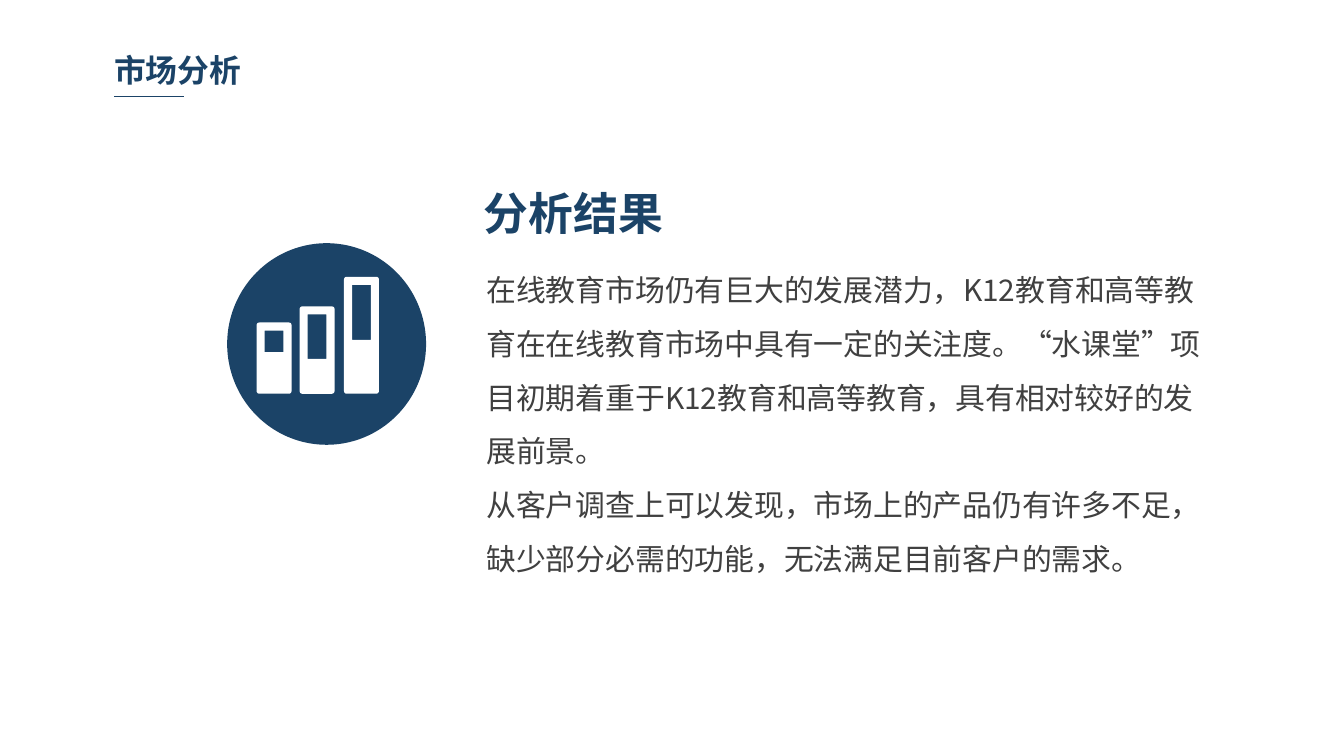
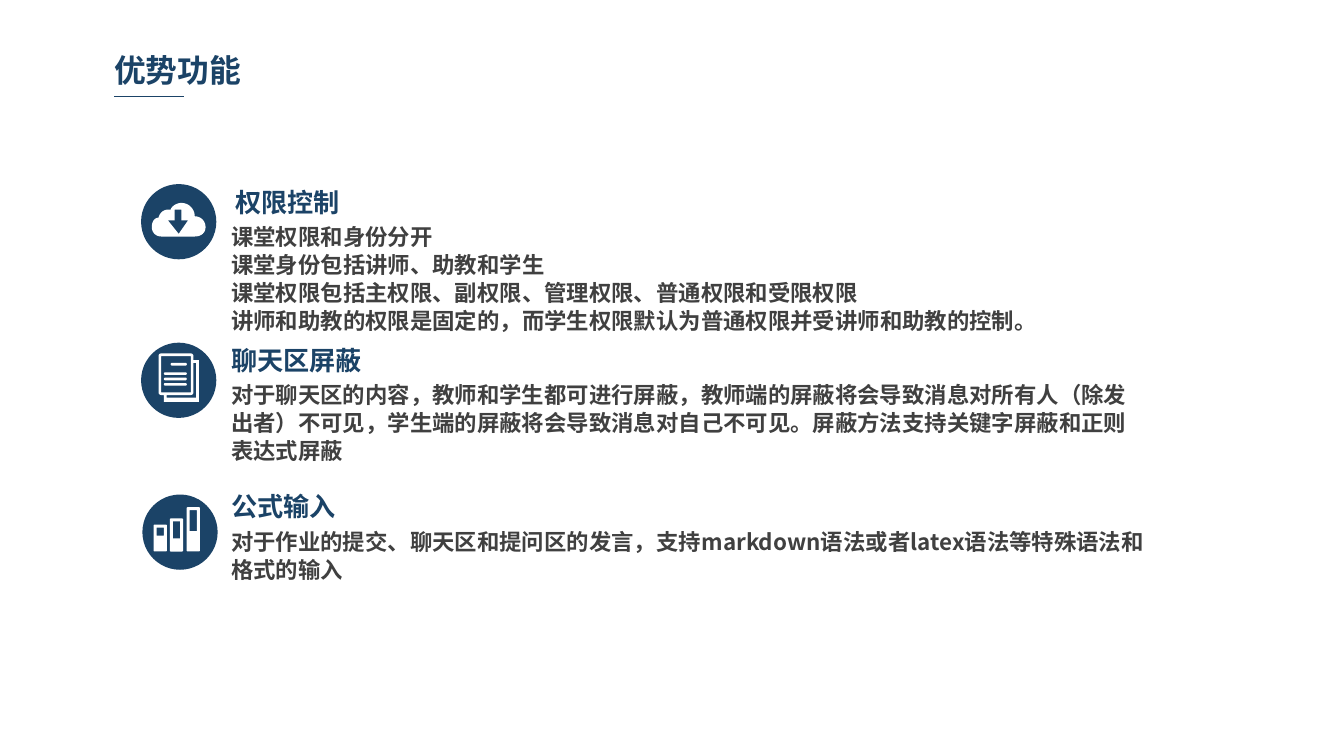
import math

from lxml import etree
from pptx import Presentation
from pptx.dml.color import RGBColor
from pptx.enum.shapes import MSO_CONNECTOR, MSO_SHAPE
from pptx.enum.text import MSO_AUTO_SIZE
from pptx.oxml.ns import qn
from pptx.util import Emu, Pt

# Shared style
PX = 9144  # EMU per px, 100 px to the inch
NAVY = RGBColor(0x1B, 0x43, 0x67)
GRAY = RGBColor(0x40, 0x40, 0x40)
WHITE = RGBColor(0xFF, 0xFF, 0xFF)
FONT = "Noto Sans CJK SC"
ELLIPSE = MSO_SHAPE.OVAL
STRAIGHT = MSO_CONNECTOR.STRAIGHT
GROW = MSO_AUTO_SIZE.SHAPE_TO_FIT_TEXT


def px(value):
    return Emu(round(value * PX))


# Outlines as lists of points
def box(left, top, width, height):
    right, bottom = left + width, top + height
    return [(left, top), (right, top), (right, bottom), (left, bottom)]


def rounded_box(left, top, width, height, radius):
    points = []
    for corner, (x, y) in enumerate(box(left + radius, top + radius,
                                        width - 2 * radius, height - 2 * radius)):
        for step in range(5):
            angle = math.radians(180 + 90 * corner + 22.5 * step)
            points.append((x + radius * math.cos(angle), y + radius * math.sin(angle)))
    return points


def curve(start, segments, steps=10):
    """Follow cubic curves, each given as two control points and an end."""
    points = [start]
    for first, second, end in segments:
        begin = points[-1]
        for step in range(1, steps + 1):
            t = step / steps
            weights = ((1 - t) ** 3, 3 * t * (1 - t) ** 2, 3 * t * t * (1 - t), t ** 3)
            points.append(tuple(
                sum(weight * point[axis] for weight, point
                    in zip(weights, (begin, first, second, end)))
                for axis in (0, 1)))
    return points


class Deck:
    def __init__(self, width):
        self.presentation = Presentation()
        self.presentation.slide_width = px(width)
        self.presentation.slide_height = px(width * 9 / 16)
        self.slide = None

    def new_slide(self, title):
        layout = self.presentation.slide_layouts[6]
        self.slide = self.presentation.slides.add_slide(layout)
        self.text(78, 34, 247, 36, [title], 17, NAVY, bold=True)
        self.line(85, 72, 137, 72)

    def text(self, left, top, width, height, paragraphs, size, color,
             bold=False, spacing=None, wrap=True):
        shape = self.slide.shapes.add_textbox(px(left), px(top), px(width), px(height))
        frame = shape.text_frame
        frame.word_wrap = wrap
        frame.auto_size = GROW
        frame.margin_left = frame.margin_right = px(7)
        frame.margin_top = frame.margin_bottom = px(4)
        frame.text = "\n".join(paragraphs)
        for paragraph in frame.paragraphs:
            if spacing:
                paragraph.line_spacing = spacing
            font = paragraph.font
            font.name, font.size, font.bold = FONT, Pt(size), bold
            font.color.rgb = color
            # East Asian typeface follows the Latin one
            latin = paragraph._p.pPr.find(qn("a:defRPr")).find(qn("a:latin"))
            east_asian = etree.Element(qn("a:ea"), typeface=FONT)
            latin.addnext(east_asian)

    def line(self, left, top, right, bottom):
        connector = self.slide.shapes.add_connector(
            STRAIGHT, px(left), px(top), px(right), px(bottom))
        connector.line.color.rgb = NAVY
        connector.line.width = Pt(0.75)
        etree.SubElement(connector._element.spPr, qn("a:effectLst"))

    def fill(self, shape, color):
        shape.shadow.inherit = False
        shape.fill.solid()
        shape.fill.fore_color.rgb = color
        shape.line.fill.background()

    def disc(self, left, top, width, height):
        """Start an icon: a group that holds a navy disc."""
        group = self.slide.shapes.add_group_shape()
        shape = group.shapes.add_shape(ELLIPSE, px(left), px(top), px(width), px(height))
        self.fill(shape, NAVY)
        return group

    def outline(self, group, contours):
        """Draw white contours as one shape; inner contours are holes."""
        contours = [[(px(x), px(y)) for x, y in points] for points in contours]
        builder = group.shapes.build_freeform(*contours[0][0], scale=1.0)
        for index, points in enumerate(contours):
            if index:
                builder.move_to(*points[0])
            builder.add_line_segments(points[1:], close=True)
        self.fill(builder.convert_to_shape(), WHITE)

    def bars_icon(self, left, top, width, height):
        group = self.disc(left, top, width, height)
        scale = width / 148
        base = 112
        for x, y, window_height in ((22, 59, 16), (54, 47, 33), (87, 25, 41)):
            contours = (rounded_box(x, y, 26, base - y, 2),
                        box(x + 6, y + 6, 14, window_height))
            self.outline(group, [[(left + a * scale, top + b * scale) for a, b in points]
                                 for points in contours])

    def pages_icon(self, left, top, size):
        group = self.disc(left, top, size, size)
        x, y = left + 13, top + 8
        back_page = [(26, 5), (30, 5), (30, 36), (4, 36), (4, 31),
                     (6, 31), (6, 33), (28, 33), (28, 7), (26, 7)]
        self.outline(group, [rounded_box(x, y, 26, 31, 2),
                             box(x + 2, y + 2, 22, 27),
                             [(x + a, y + b) for a, b in back_page]])
        for row, indent in ((7, 9), (14, 4), (18, 4), (22, 4)):
            self.outline(group, [rounded_box(x + indent, y + row, 21 - indent, 2, 1)])

    def cloud_icon(self, left, top, size):
        group = self.disc(left, top, size, size)
        cloud = curve((40, 24), [
            ((40, 19), (36, 14), (30, 14)), ((27, 14), (23, 16), (22, 19)),
            ((21, 19), (21, 19), (20, 19)), ((17, 19), (14, 21), (13, 25)),
            ((10, 25), (8, 28), (8, 32)), ((8, 36), (11, 39), (15, 39)),
            ((15, 39), (40, 39), (40, 39)), ((45, 39), (48, 36), (48, 32)),
            ((48, 28), (45, 24), (40, 24))])
        arrow = [(28, 37), (20, 27), (25, 27), (25, 19), (30, 19), (30, 27), (35, 27)]
        self.outline(group, [[(left + x, top + y) for x, y in points]
                             for points in (cloud, arrow)])


def build_analysis(deck):
    deck.new_slide("市场分析")
    deck.bars_icon(169, 181, 148, 150)
    deck.text(353, 134, 172, 48, ["分析结果"], 24, NAVY, bold=True)
    deck.text(355, 185, 547, 244, [
        "在线教育市场仍有巨大的发展潜力，K12教育和高等教育在在线教育市场中具有一定的关注度。"
        "“水课堂”项目初期着重于K12教育和高等教育，具有相对较好的发展前景。",
        "从客户调查上可以发现，市场上的产品仍有许多不足，缺少部分必需的功能，"
        "无法满足目前客户的需求。",
    ], 16, GRAY, spacing=1.5)


def build_features(deck):
    deck.new_slide("优势功能")
    deck.bars_icon(106, 368, 56, 56)
    deck.pages_icon(105, 255, 56)
    deck.cloud_icon(105, 137, 56)

    # Heading (left, top, width) and body (top, width, height) of each feature
    features = [
        ("权限控制", (168, 135, 94), (161, 708, 89), [
            "课堂权限和身份分开",
            "课堂身份包括讲师、助教和学生",
            "课堂权限包括主权限、副权限、管理权限、普通权限和受限权限",
            "讲师和助教的权限是固定的，而学生权限默认为普通权限并受讲师和助教的控制。"]),
        ("聊天区屏蔽", (165, 252, 113), (279, 697, 68), [
            "对于聊天区的内容，教师和学生都可进行屏蔽，教师端的屏蔽将会导致消息对所有人"
            "（除发出者）不可见，学生端的屏蔽将会导致消息对自己不可见。"
            "屏蔽方法支持关键字屏蔽和正则表达式屏蔽"]),
        ("公式输入", (165, 361, 94), (388, 697, 47), [
            "对于作业的提交、聊天区和提问区的发言，支持markdown语法或者latex语法等"
            "特殊语法和格式的输入"]),
    ]
    for heading, heading_place, body_place, body in features:
        deck.text(*heading_place, 31, [heading], 14, NAVY, bold=True, wrap=False)
        deck.text(165, *body_place, body, 12, GRAY, bold=True, spacing=Pt(15))


def main():
    deck = Deck(1000)
    build_analysis(deck)
    build_features(deck)
    deck.presentation.save("out.pptx")


if __name__ == "__main__":
    main()
